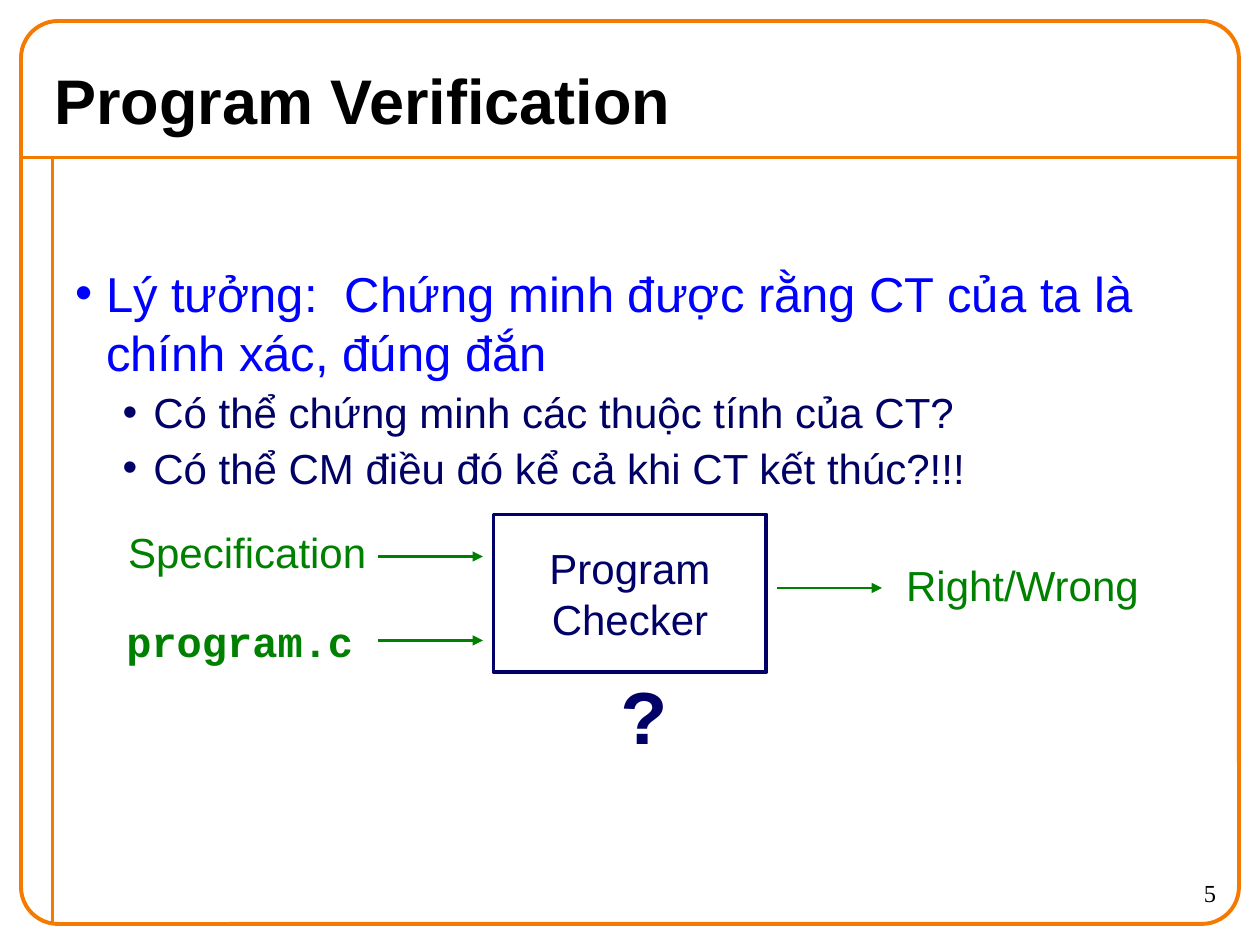
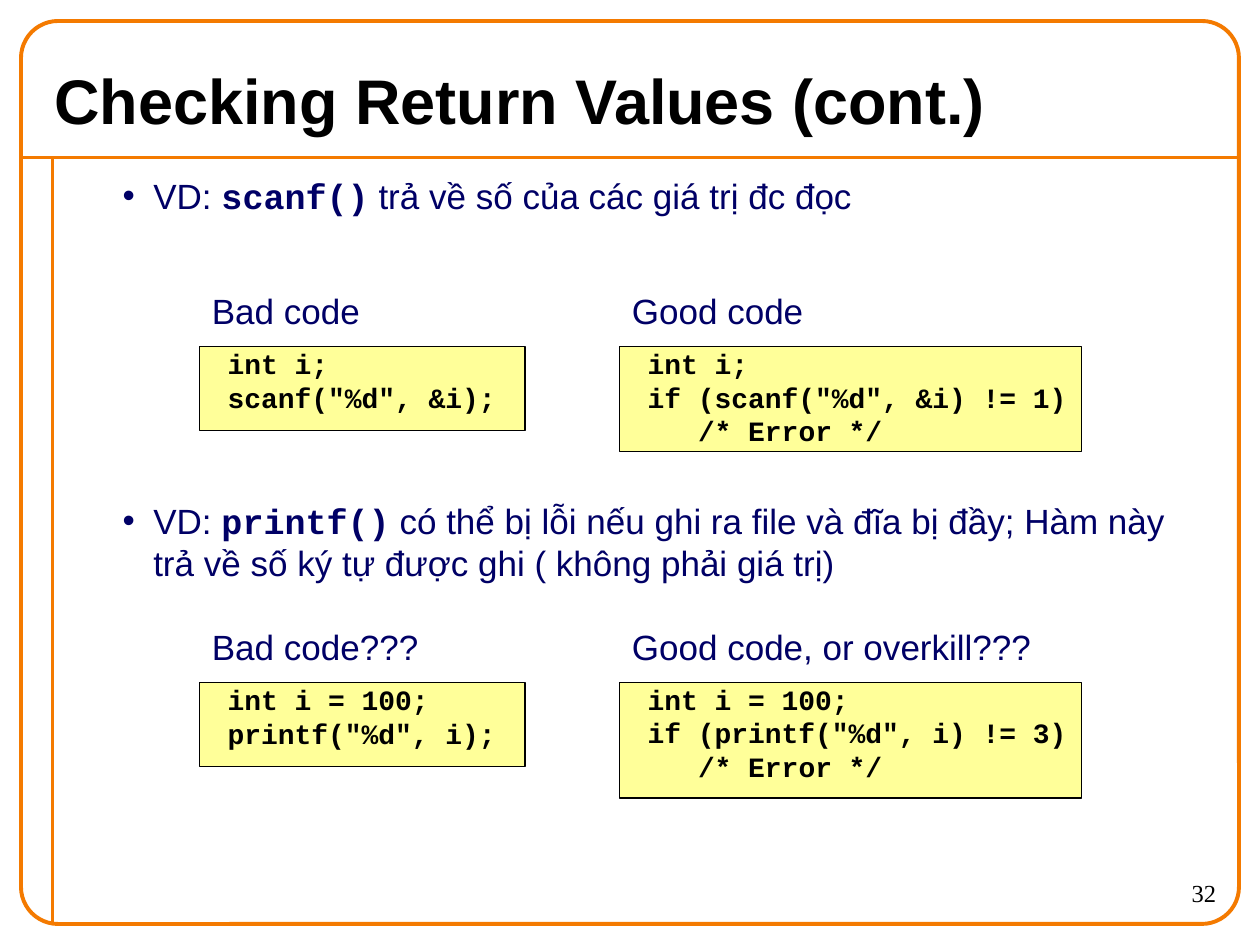
from lxml import etree
from pptx import Presentation
from pptx.dml.color import RGBColor
from pptx.enum.shapes import MSO_CONNECTOR, MSO_SHAPE
from pptx.enum.text import MSO_ANCHOR, PP_ALIGN
from pptx.oxml.ns import qn
from pptx.util import Pt

LEFT, CENTER, RIGHT = PP_ALIGN.LEFT, PP_ALIGN.CENTER, PP_ALIGN.RIGHT
TOP, MIDDLE = MSO_ANCHOR.TOP, MSO_ANCHOR.MIDDLE
RECTANGLE, ROUNDED = MSO_SHAPE.RECTANGLE, MSO_SHAPE.ROUNDED_RECTANGLE
STRAIGHT = MSO_CONNECTOR.STRAIGHT

ORANGE, BLACK, BLUE = "F47A00", "000000", "0000FF"
NAVY, GREEN, YELLOW = "000066", "008000", "FFFF99"
SANS, MONO, SERIF = "Arial", "Courier New", "Times New Roman"
CODE_SIZE = 16
CODE_CHARACTER = 0.6 * CODE_SIZE


def rgb(color):
    return RGBColor.from_string(color)


class Deck:
    """Holds the presentation, its style and the slide being built."""

    def __init__(self):
        self.presentation = Presentation()
        self.presentation.slide_width = Pt(720)
        self.presentation.slide_height = Pt(540)
        self.slide = None

    def add_slide(self, title, number):
        layout = self.presentation.slide_layouts[6]
        self.slide = self.presentation.slides.add_slide(layout)
        self.line(12, 90, 708, 90, ORANGE, 2.25)
        self.line(30, 90, 30, 528, ORANGE, 2.25)
        frame = self.box(12, 12, 696, 516, ORANGE, 2.25, kind=ROUNDED)
        frame.adjustments[0] = 0.041
        self.label(number, 630, 498, 72, 30, 14, BLACK, SERIF, align=RIGHT)
        self.label(title, 24, 30, 672, 54, 36, BLACK, bold=True, anchor=MIDDLE)

    def line(self, x1, y1, x2, y2, color, width, arrow=False):
        line = self.slide.shapes.add_connector(
            STRAIGHT, Pt(x1), Pt(y1), Pt(x2), Pt(y2))
        line.line.color.rgb = rgb(color)
        line.line.width = Pt(width)
        if arrow:
            outline = line.line._get_or_add_ln()
            etree.SubElement(outline, qn("a:tailEnd"), type="triangle")
        etree.SubElement(line._element.spPr, qn("a:effectLst"))

    def box(self, x, y, width, height, color, weight, fill=None, kind=RECTANGLE):
        shape = self.slide.shapes.add_shape(
            kind, Pt(x), Pt(y), Pt(width), Pt(height))
        shape.shadow.inherit = False
        shape.line.color.rgb = rgb(color)
        shape.line.width = Pt(weight)
        if fill:
            shape.fill.solid()
            shape.fill.fore_color.rgb = rgb(fill)
        else:
            shape.fill.background()
        return shape

    def text_box(self, x, y, width, height, wrap=True):
        shape = self.slide.shapes.add_textbox(
            Pt(x), Pt(y), Pt(width), Pt(height))
        shape.text_frame.word_wrap = wrap
        return shape.text_frame

    def paragraph(self, frame, first, align=LEFT, before=0):
        paragraph = frame.paragraphs[0] if first else frame.add_paragraph()
        paragraph.alignment = align
        paragraph.space_before = Pt(before)
        return paragraph

    def run(self, paragraph, text, size, color, font=SANS, bold=False):
        run = paragraph.add_run()
        run.text = text
        run.font.size = Pt(size)
        run.font.name = font
        run.font.bold = bold
        run.font.color.rgb = rgb(color)

    def indent(self, paragraph, margin, first_line=0):
        properties = paragraph._p.get_or_add_pPr()
        properties.set("marL", str(Pt(margin)))
        properties.set("indent", str(Pt(first_line)))
        return properties

    def label(self, text, x, y, width, height, size, color, font=SANS,
              bold=False, align=LEFT, anchor=TOP, wrap=True):
        frame = self.text_box(x, y, width, height, wrap)
        frame.vertical_anchor = anchor
        paragraph = self.paragraph(frame, True, align)
        self.run(paragraph, text, size, color, font, bold)

    def bullets(self, y, height, items):
        """Each item: left margin, space before, size, colour, text pieces.

        Every second text piece is set as code.
        """
        frame = self.text_box(36, y, 666, height)
        for index, (margin, before, size, color, pieces) in enumerate(items):
            paragraph = self.paragraph(frame, index == 0, before=before)
            properties = self.indent(paragraph, margin, -17.5)
            bullet_color = etree.SubElement(properties, qn("a:buClr"))
            etree.SubElement(bullet_color, qn("a:srgbClr"), val=color)
            etree.SubElement(properties, qn("a:buFont"), typeface=SANS)
            etree.SubElement(properties, qn("a:buChar"), char="•")
            for position, piece in enumerate(pieces):
                code = position % 2 == 1
                self.run(paragraph, piece, size, color,
                         MONO if code else SANS, code)

    def code_box(self, x, y, width, height, lines):
        """Each line: depth in characters and text."""
        shape = self.box(x, y, width, height, BLACK, 1, YELLOW)
        frame = shape.text_frame
        frame.word_wrap = True
        frame.vertical_anchor = TOP
        frame.margin_top = frame.margin_right = 0
        for index, (depth, text) in enumerate(lines):
            paragraph = self.paragraph(frame, index == 0)
            self.indent(paragraph, 9 + depth * CODE_CHARACTER)
            self.run(paragraph, text, CODE_SIZE, BLACK, MONO, True)


def verification_slide(deck):
    deck.add_slide("Program Verification", "5")
    deck.bullets(147, 140, [
        (17.5, 0, 28, BLUE,
         ["Lý tưởng:  Chứng minh được rằng CT của ta là chính xác, đúng đắn"]),
        (44.5, 3, 24, NAVY, ["Có thể chứng minh các thuộc tính của CT?"]),
        (44.5, 3, 24, NAVY, ["Có thể CM điều đó kể cả khi CT kết thúc?!!!"]),
    ])
    checker = deck.box(282, 294, 156, 90, NAVY, 2.25).text_frame
    checker.vertical_anchor = MIDDLE
    for index, word in enumerate(["Program", "Checker"]):
        paragraph = deck.paragraph(checker, index == 0, CENTER)
        deck.run(paragraph, word, 24, NAVY)

    for text, x, y, width, font in [
        ("Specification", 66, 297.5, 150.5, SANS),
        ("program.c", 65, 348, 144, MONO),
        ("Right/Wrong", 510.5, 316, 147.5, SANS),
    ]:
        deck.label(text, x, y, width, 36, 24, GREEN, font, font == MONO,
                   CENTER, wrap=False)
    for x, y in [(216, 318), (216, 366), (444, 336)]:
        deck.line(x, y, x + 60, y, GREEN, 1.5, arrow=True)
    deck.label("?", 348, 378, 40, 60.5, 44, NAVY, MONO, True, CENTER,
               wrap=False)


def return_values_slide(deck):
    deck.add_slide("Checking Return Values (cont.)", "32")
    deck.bullets(96, 432, [
        (44.5, 2.5, 20, NAVY,
         ["VD: ", "scanf()", " trả về số của các giá trị đc đọc"]),
        (44.5, 162, 20, NAVY,
         ["VD: ", "printf()", " có thể bị lỗi nếu ghi ra file và đĩa bị đầy; "
          "Hàm này trả về số ký tự được ghi ( không phải giá trị)"]),
    ])
    examples = [
        (162, 60, "Bad code", "Good code",
         "int i;", 'scanf("%d", &i)', 1),
        (354, 66, "Bad code???", "Good code, or overkill???",
         "int i = 100;", 'printf("%d", i)', 3),
    ]
    for y, good_height, bad, good, declaration, call, expected in examples:
        code_top = y + 36
        deck.label(bad, 114, y, 186, 31.5, 20, NAVY)
        deck.label(good, 354, y, 264, 31.5, 20, NAVY)
        deck.code_box(114, code_top, 186, 48,
                      [(0, declaration), (0, f"{call};")])
        deck.code_box(354, code_top, 264, good_height, [
            (0, declaration),
            (0, f"if ({call} != {expected})"),
            (3, "/* Error */"),
        ])


def main():
    deck = Deck()
    verification_slide(deck)
    return_values_slide(deck)
    deck.presentation.save("out.pptx")


if __name__ == "__main__":
    main()
